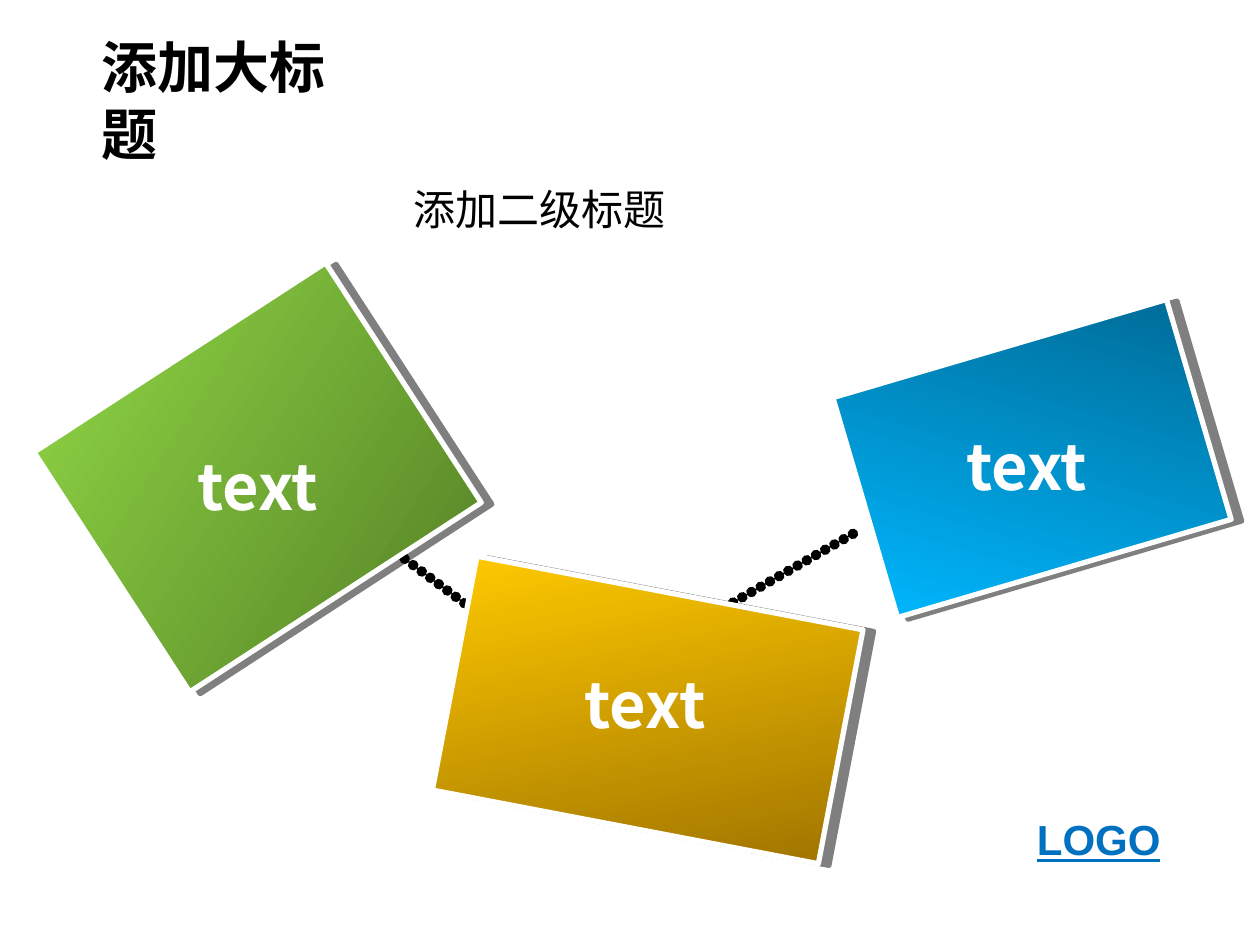
from dataclasses import dataclass

from lxml import etree
from pptx import Presentation
from pptx import util as u
from pptx.dml import color
from pptx.enum import shapes, text
from pptx.oxml import ns


@dataclass(frozen=True)
class Theme:
    black: str = "000000"
    white: str = "FFFFFF"
    link: str = "0070C0"
    green: tuple = ("537E25", "92DA46")
    yellow: tuple = ("A07400", "FFCA00")
    blue: tuple = ("006A96", "00B8FF")
    latin: str = "Arial"
    chinese: str = "Noto Sans CJK SC"
    title_size: int = 32
    body_size: int = 24
    card_size: int = 36
    dot_width: int = 6
    edge_width: int = 3


def rgb(value):
    return color.RGBColor.from_string(value)


def add_xml(parent, tag, **attributes):
    return etree.SubElement(parent, ns.qn(tag), attributes)


class SlideBuilder:
    def __init__(self, page, theme):
        self.page = page
        self.theme = theme

    def dotted_line(self, start, end):
        points = [u.Pt(value) for value in (*start, *end)]
        line = self.page.shapes.add_connector(
            shapes.MSO_CONNECTOR.STRAIGHT, *points)
        line.line.color.rgb = rgb(self.theme.black)
        line.line.width = u.Pt(self.theme.dot_width)
        # Round caps turn dashes one line width long into touching dots
        outline = line.line._get_or_add_ln()
        outline.set("cap", "rnd")
        dashes = add_xml(outline, "a:custDash")
        add_xml(dashes, "a:ds", d="100000", sp="1000")
        add_xml(outline, "a:round")
        add_xml(line._element.spPr, "a:effectLst")

    def label(self, words, place, size, font, ink, bold=False,
              underline=False, centred=False, parent=None):
        holder = parent or self.page
        box = holder.shapes.add_textbox(*map(u.Pt, place))
        frame = box.text_frame
        frame.word_wrap = centred
        frame.vertical_anchor = text.MSO_ANCHOR.MIDDLE
        para = frame.paragraphs[0]
        para.alignment = text.PP_ALIGN.CENTER if centred else text.PP_ALIGN.LEFT
        span = para.add_run()
        span.text = words
        span.font.size = u.Pt(size)
        span.font.name = font
        span.font.bold = bold
        span.font.underline = underline
        span.font.color.rgb = rgb(ink)
        add_xml(span._r.get_or_add_rPr(), "a:ea", typeface=self.theme.chinese)

    def card(self, words, place, turn, colours, angle, label_place):
        group = self.page.shapes.add_group_shape()
        card = group.shapes.add_shape(
            shapes.MSO_SHAPE.RECTANGLE, *map(u.Pt, place))
        card.rotation = turn
        card.line.color.rgb = rgb(self.theme.white)
        card.line.width = u.Pt(self.theme.edge_width)
        # The gradient keeps its direction while the card turns
        card.fill.gradient()
        card.fill.gradient_angle = 360 - angle
        for stop, value, position in zip(
                card.fill.gradient_stops, colours, (0, 1)):
            stop.color.rgb = rgb(value)
            stop.position = position
        properties = card._element.spPr
        properties.find(ns.qn("a:gradFill")).set("rotWithShape", "0")
        self.hard_shadow(properties)
        self.label(words, label_place, self.theme.card_size,
                   self.theme.chinese, self.theme.white, bold=True,
                   centred=True, parent=group)

    def hard_shadow(self, properties):
        effects = add_xml(properties, "a:effectLst")
        shadow = add_xml(effects, "a:outerShdw", blurRad="0",
                         dist=str(int(u.Pt(6.1))), dir=str(9 * 60000),
                         algn="ctr", rotWithShape="0")
        shade = add_xml(shadow, "a:srgbClr", val=self.theme.black)
        add_xml(shade, "a:alpha", val="50000")


def main():
    deck = Presentation()
    deck.slide_width, deck.slide_height = u.Pt(720), u.Pt(540)
    theme = Theme()
    slide = SlideBuilder(deck.slides.add_slide(deck.slide_layouts[6]), theme)

    # Dotted links behind the cards
    slide.dotted_line((371.5, 371.5), (489.6, 303.8))
    slide.dotted_line((172.8, 275.8), (308.2, 376.6))

    # Tilted cards: place, turn, colours, gradient angle, label place
    cards = (
        ((65.5, 173.5, 163.4, 198.7), 57, theme.green, 213,
         (36.7, 252, 221, 50.4)),
        ((257.8, 337.7, 224.6, 136.1), 10.8, theme.yellow, 259,
         (269.3, 376.6, 198.7, 50.4)),
        ((524.2, 162.7, 131, 198.7), 73.6, theme.blue, 106,
         (484.6, 240.5, 204.5, 50.4)),
    )
    for card in cards:
        slide.card("text", *card)

    # Headings
    slide.label("添加二级标题", (229, 101.5, 158.4, 36), theme.body_size,
                theme.latin, theme.black)
    slide.label("添加大标题", (51.1, 33.8, 174.2, 46.1), theme.title_size,
                theme.chinese, theme.black, bold=True)

    # Corner mark
    slide.label("LOGO", (585.4, 461.5, 85, 36), theme.body_size,
                theme.latin, theme.link, bold=True, underline=True)

    deck.save("out.pptx")


if __name__ == "__main__":
    main()
